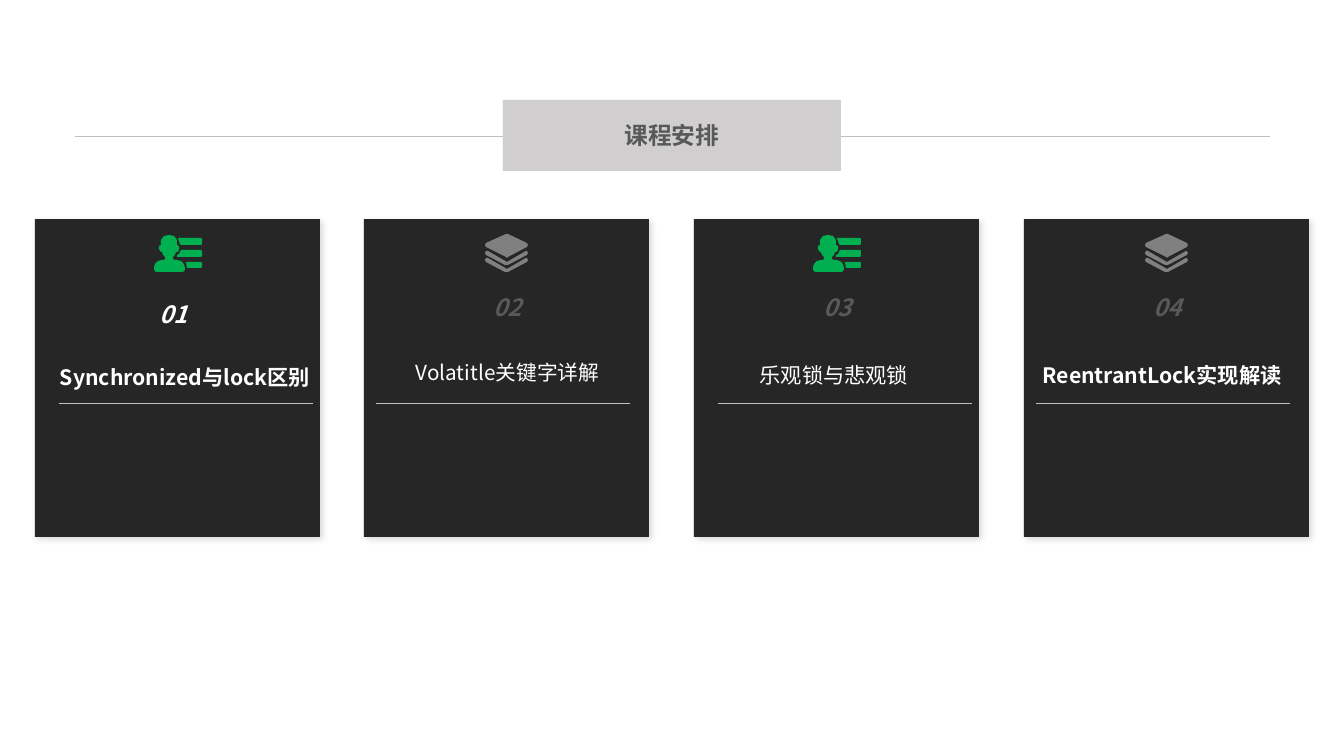
import pptx
import pptx.dml.color
import pptx.enum.shapes
import pptx.enum.text
import pptx.oxml
import pptx.oxml.ns
import pptx.util

PX = 9565
SANS = "Noto Sans CJK SC"
CENTER = pptx.enum.text.PP_ALIGN.CENTER
LEFT = pptx.enum.text.PP_ALIGN.LEFT
RECTANGLE = pptx.enum.shapes.MSO_SHAPE.RECTANGLE
STRAIGHT = pptx.enum.shapes.MSO_CONNECTOR.STRAIGHT
A = pptx.oxml.ns.nsdecls("a")
SHADOW = (
    f'<a:outerShdw {A} blurRad="63500" dist="25400" dir="2700000" algn="tl" rotWithShape="0">'
    '<a:srgbClr val="000000"><a:alpha val="15000"/></a:srgbClr></a:outerShdw>'
)

person_icon = [
    [(32, 27), (47, 27), (48, 28), (48, 32), (47, 33), (33, 33)],
    [(27, 15), (47, 15), (48, 16), (48, 21), (47, 22), (23, 22), (23, 20), (25, 19)],
    [(24, 3), (47, 3), (48, 4), (48, 9), (47, 10), (27, 10), (26, 9)],
    [(15, 0), (20, 1), (23, 5), (23, 10), (25, 11), (25, 14), (24, 17), (22, 17),
     (21, 20), (19, 22), (19, 24), (21, 25), (23, 25), (27, 26), (30, 29), (31, 33),
     (31, 35), (29, 37), (2, 37), (0, 35), (0, 32), (1, 29), (4, 26), (8, 25),
     (10, 25), (11, 24), (11, 22), (9, 20), (8, 17), (7, 17), (5, 14), (5, 11),
     (7, 10), (7, 5), (10, 1)],
]
chevron = [(1, 17), (3, 17), (22, 28), (41, 17), (42, 17), (43, 19), (42, 21),
           (23, 31), (20, 31), (1, 21), (0, 19)]
layers_icon = [
    [(21, 0), (23, 0), (42, 9), (43, 11), (42, 13), (23, 23), (22, 24), (21, 23),
     (1, 13), (0, 11), (1, 9)],
    chevron,
    [(x, y + 7) for x, y in chevron],
]

icon_styles = [
    {"outline": person_icon, "color": "00B050", "x": 119, "y": 235, "rule_x": 24},
    {"outline": layers_icon, "color": "808080", "x": 121, "y": 234, "rule_x": 12},
]

lessons = [
    {"title": "Synchronized与lock区别", "box": (19, 356, 267, 42), "align": LEFT,
     "font": {"name": SANS, "size": 16, "bold": True},
     "number_at": (40, 290), "number_color": "FFFFFF"},
    {"title": "Volatitle关键字详解", "box": (10, 351, 267, 42), "align": CENTER,
     "font": {"name": SANS, "size": 15.6, "bold": False},
     "number_at": (45, 283), "number_color": "595959"},
    {"title": "乐观锁与悲观锁", "box": (-12, 354, 304, 42), "align": CENTER,
     "font": {"name": "Calibri", "size": 16, "bold": False},
     "number_at": (45, 283), "number_color": "595959"},
    {"title": "ReentrantLock实现解读", "box": (-14, 333, 304, 84), "align": CENTER,
     "font": {"name": SANS, "size": 16, "bold": True},
     "number_at": (45, 283), "number_color": "595959"},
]

deck = pptx.Presentation()
deck.slide_width = 1344 * PX
deck.slide_height = 756 * PX
slide = deck.slides.add_slide(deck.slide_layouts[6])
shapes = slide.shapes
rgb = pptx.dml.color.RGBColor.from_string


def write(shape, words, color, align, font):
    frame = shape.text_frame
    layout = {
        "word_wrap": True,
        "vertical_anchor": pptx.enum.text.MSO_ANCHOR.MIDDLE,
        "margin_left": 6 * PX, "margin_right": 6 * PX,
        "margin_top": 3 * PX, "margin_bottom": 3 * PX,
    }
    for key, value in layout.items():
        setattr(frame, key, value)
    paragraph = frame.paragraphs[0]
    paragraph.alignment = align
    run = paragraph.add_run()
    run.text = words
    for key, value in {**font, "size": pptx.util.Pt(font["size"])}.items():
        setattr(run.font, key, value)
    run.font.color.rgb = rgb(color)
    run.font._element.append(pptx.oxml.parse_xml(f'<a:ea {A} typeface="{SANS}"/>'))


def draw_rule(left, right, y):
    rule = shapes.add_connector(STRAIGHT, left * PX, y * PX, right * PX, y * PX)
    rule.line.color.rgb = rgb("BFBFBF")
    rule.line.width = pptx.util.Pt(0.25)
    rule._element.spPr.append(pptx.oxml.parse_xml(f"<a:effectLst {A}/>"))


draw_rule(75, 1270, 136)
heading = shapes.add_shape(RECTANGLE, 503 * PX, 100 * PX, 338 * PX, 71 * PX)
heading.shadow.inherit = False
heading.fill.solid()
heading.fill.fore_color.rgb = rgb("D0CECE")
heading.line.fill.background()
write(heading, "课程安排", "595959", CENTER, {"name": SANS, "size": 17.9, "bold": True})

for index, lesson in enumerate(lessons):
    card_x = 35 + 989 * index // 3
    card = shapes.add_shape(RECTANGLE, card_x * PX, 219 * PX, 285 * PX, 318 * PX)
    card.shadow.inherit = False
    card._element.spPr.find(pptx.oxml.ns.qn("a:effectLst")).append(
        pptx.oxml.parse_xml(SHADOW))
    card.fill.solid()
    card.fill.fore_color.rgb = rgb("262626")
    card.line.fill.background()

    style = icon_styles[index % 2]
    first, *others = style["outline"]
    builder = shapes.build_freeform(*first[0], scale=PX)
    builder.add_line_segments(first[1:], close=True)
    for contour in others:
        builder.move_to(*contour[0])
        builder.add_line_segments(contour[1:], close=True)
    icon = builder.convert_to_shape((card_x + style["x"]) * PX, style["y"] * PX)
    icon.shadow.inherit = False
    icon.fill.solid()
    icon.fill.fore_color.rgb = rgb(style["color"])
    icon.line.fill.background()

    rule_x = card_x + style["rule_x"]
    draw_rule(rule_x, rule_x + 254, 403)

    number_x, number_y = lesson["number_at"]
    number = shapes.add_textbox((card_x + number_x) * PX, number_y * PX, 197 * PX, 49 * PX)
    write(number, f"{index + 1:02}", lesson["number_color"], CENTER,
          {"name": SANS, "size": 17.9, "bold": True, "italic": True})

    title_x, title_y, width, height = lesson["box"]
    title = shapes.add_textbox((card_x + title_x) * PX, title_y * PX, width * PX, height * PX)
    write(title, lesson["title"], "FFFFFF", lesson["align"], lesson["font"])

deck.save("out.pptx")
